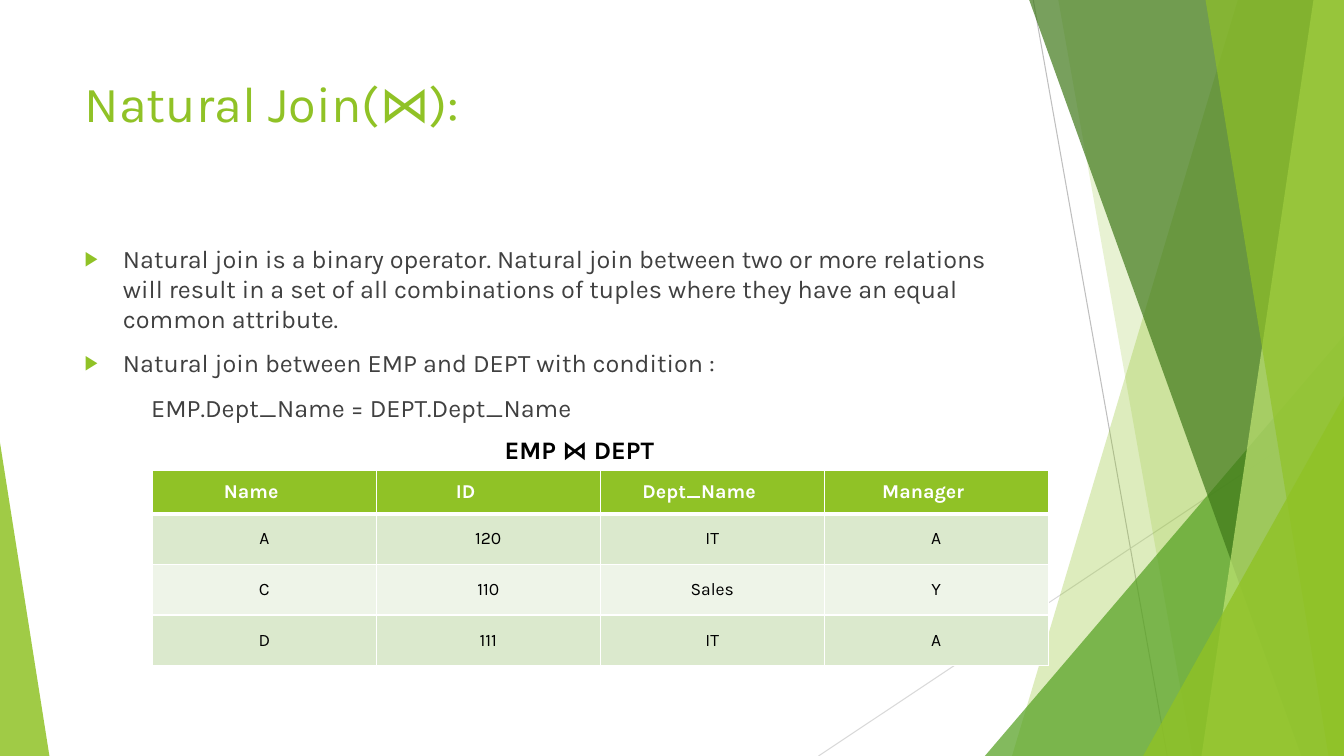
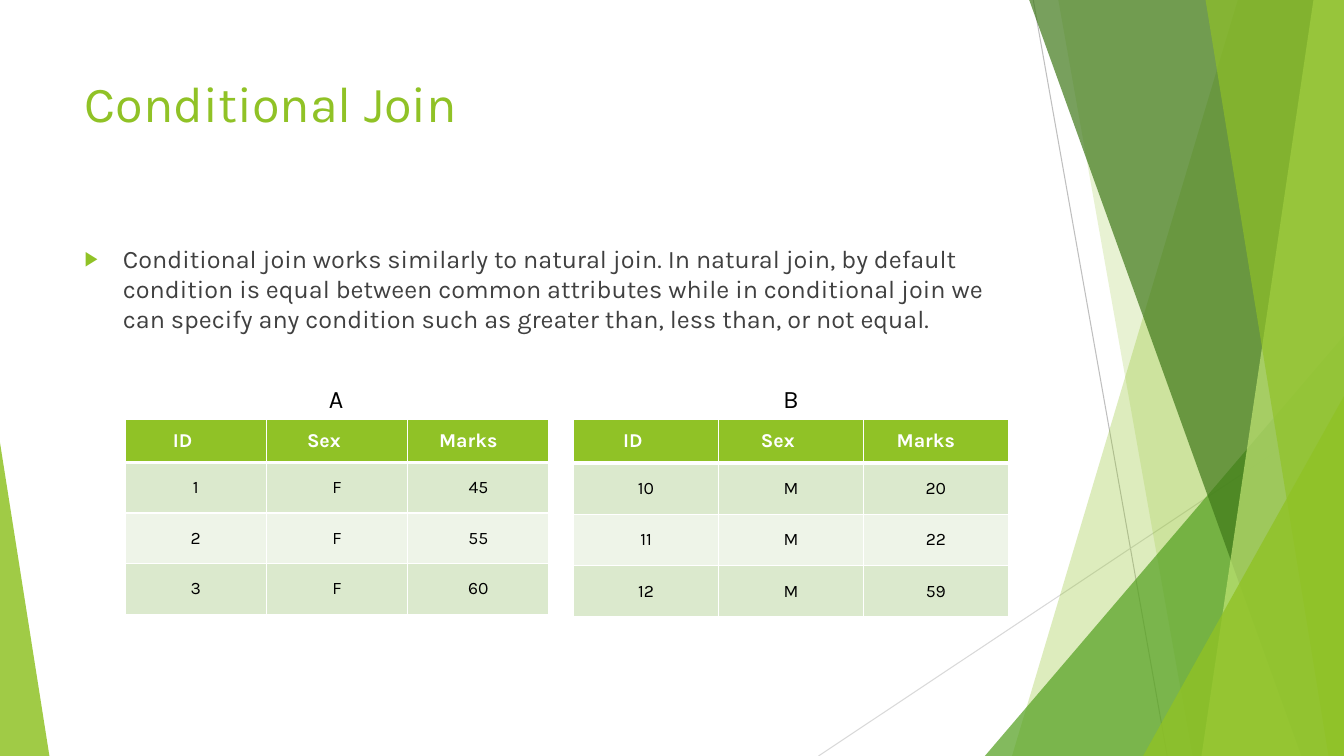
"""Build two slides about natural and conditional joins."""
from lxml.etree import SubElement
from pptx import Presentation
from pptx.dml.color import RGBColor
from pptx.enum.shapes import MSO_CONNECTOR, MSO_SHAPE
from pptx.enum.text import MSO_ANCHOR, MSO_AUTO_SIZE, PP_ALIGN
from pptx.oxml.ns import qn
from pptx.util import Inches, Pt

STRAIGHT = MSO_CONNECTOR.STRAIGHT
TRIANGLE = MSO_SHAPE.ISOSCELES_TRIANGLE
TOP, MIDDLE = MSO_ANCHOR.TOP, MSO_ANCHOR.MIDDLE
LEFT, CENTER = PP_ALIGN.LEFT, PP_ALIGN.CENTER
NO_FIT = MSO_AUTO_SIZE.NONE


class Theme:
    font = "Karla"
    title_size, body_size, head_size, cell_size = 36, 18, 14, 12.5
    lime, green, forest, pale = "90C226", "54A021", "3F7819", "C0E474"
    text, black, white = "404040", "000000", "FFFFFF"
    rows = ("DBE9CD", "EEF4E8")
    lines = ("BFBFBF", "D9D9D9")


W, H = Inches(13.333), Inches(7.5)


def box(*shares):
    """Turn alternating percentages of slide width and height into lengths."""
    return [round(s * (W, H)[i % 2] / 100) for i, s in enumerate(shares)]


def style(p, size, colour, bold=False, align=LEFT):
    """Format a paragraph and its runs."""
    p.alignment = align
    for r in p.runs:
        r.font.name, r.font.size, r.font.bold = Theme.font, Pt(size), bold
        r.font.color.rgb = RGBColor.from_string(colour)


RAYS = [(76.88, 0, 86.85, 100), (100, 53.73, 60.9, 100)]
FACETS = [
    ("band", (92.1, 75.3), Theme.lime, 30),
    ("band", (78.75, 88.73), Theme.lime, 20),
    ("corner", (73.28, 44.4, 26.72, 1), Theme.green, 72),
    ("band", (76.58, 96.83), Theme.forest, 70),
    ("band", (97.73, 89.4), Theme.pale, 70),
    ("band", (89.7, 98.85), Theme.lime, 65),
    ("corner", (85.05, 52.4, 14.95, 1), Theme.lime, 80),
    ("corner", (0, 58.53, 3.68, 0), Theme.lime, 85),
]
DECK = [
    {
        "title": "Natural Join(⋈):",
        "body": [
            ("Natural join is a binary operator. Natural join between two or more "
             "relations will result in a set of all combinations of tuples where "
             "they have an equal common attribute.", True),
            ("Natural join between EMP and DEPT with condition :", True),
            ("EMP.Dept_Name = DEPT.Dept_Name", False),
        ],
        "tables": [
            {"at": (11.33, 62.27), "width": 66.67, "caption": "EMP ⋈ DEPT",
             "centre": 43.1, "bold": True, "pads": (0.36, 0.55, 0.36, 0.36),
             "rows": [("Name", "ID", "Dept_Name", "Manager"), ("A", "120", "IT", "A"),
                      ("C", "110", "Sales", "Y"), ("D", "111", "IT", "A")]},
        ],
    },
    {
        "title": "Conditional Join",
        "body": [
            ("Conditional join works similarly to natural join. In natural join, by "
             "default condition is equal between common attributes while in "
             "conditional join we can specify any condition such as greater than, "
             "less than, or not equal.", True),
        ],
        "tables": [
            {"at": (9.3, 55.47), "width": 31.55, "caption": "A",
             "centre": 25, "bold": False, "pads": (0.36, 0.36, 0.3),
             "rows": [("ID", "Sex", "Marks"), ("1", "F", "45"),
                      ("2", "F", "55"), ("3", "F", "60")]},
            {"at": (42.68, 55.47), "width": 32.35, "caption": "B",
             "centre": 58.85, "bold": False, "pads": (0.36, 0.36, 0.3),
             "rows": [("ID", "Sex", "Marks"), ("10", "M", "20"),
                      ("11", "M", "22"), ("12", "M", "59")]},
        ],
    },
]

prs = Presentation()
prs.slide_width, prs.slide_height = W, H
layout = prs.slide_layouts[1]
for ph, area in zip(layout.placeholders, [(5.55, 8.93, 70.5, 19.2),
                                          (5.55, 31.47, 70.5, 56.53)]):
    ph.left, ph.top, ph.width, ph.height = box(*area)
    ph.text_frame.vertical_anchor = TOP
    ph.text_frame.auto_size = NO_FIT

slides = [prs.slides.add_slide(layout) for _ in DECK]
shapes = slides[0].shapes
decor = []
for ray, colour in zip(RAYS, Theme.lines):
    cx = shapes.add_connector(STRAIGHT, *box(*ray))
    cx.line.color.rgb = RGBColor.from_string(colour)
    cx.line.width = Pt(0.75)
    SubElement(cx.element.spPr, qn("a:effectLst"))
    decor.append(cx)

for kind, geometry, colour, opacity in FACETS:
    if kind == "band":
        upper, lower = geometry
        fb = shapes.build_freeform(*box(upper, 0))
        fb.add_line_segments([box(100, 0), box(100, 100), box(lower, 100)], close=True)
        sp = fb.convert_to_shape()
    else:
        left, top, width, apex = geometry
        sp = shapes.add_shape(TRIANGLE, *box(left, top, width, 100 - top))
        sp.adjustments[0] = apex
    sp.shadow.inherit = False
    sp.line.fill.background()
    sp.fill.solid()
    sp.fill.fore_color.rgb = RGBColor.from_string(colour)
    clr = sp.element.xpath("./p:spPr/a:solidFill/a:srgbClr")[0]
    SubElement(clr, qn("a:alpha"), val=str(opacity * 1000))
    decor.append(sp)

for i, sp in enumerate(decor):
    sp.element.xpath(".//p:cNvPr")[0].set("id", str(20 + i))
    layout.shapes.element.insert(2 + i, sp.element)

for s, content in zip(slides, DECK):
    s.shapes.title.text_frame.text = content["title"]
    style(s.shapes.title.text_frame.paragraphs[0], Theme.title_size, Theme.lime)

    tf = s.placeholders[1].text_frame
    for i, (text, bulleted) in enumerate(content["body"]):
        p = tf.add_paragraph() if i else tf.paragraphs[0]
        p.text = text
        p.space_before = Pt(10)
        style(p, Theme.body_size, Theme.text)
        pPr = p._p.get_or_add_pPr()
        pPr.set("marL", str(Inches(0.38 if bulleted else 0.66)))
        pPr.set("indent", str(Inches(-0.38 if bulleted else 0)))
        if bulleted:
            SubElement(SubElement(pPr, qn("a:buClr")), qn("a:srgbClr"), val=Theme.lime)
            SubElement(pPr, qn("a:buSzPct"), val="80000")
            SubElement(pPr, qn("a:buChar"), char="▶")
        else:
            SubElement(pPr, qn("a:buNone"))

    for spec_table in content["tables"]:
        left, top = spec_table["at"]
        rows = spec_table["rows"]
        frame = s.shapes.add_table(len(rows), len(rows[0]),
                                   *box(left, top, spec_table["width"], 25.6))
        tbl = frame.table
        for i, row in enumerate(rows):
            head = i == 0
            tbl.rows[i].height = Inches(0.42 if head else 0.5)
            for j, text in enumerate(row):
                cell = tbl.cell(i, j)
                cell.text_frame.text = text
                cell.vertical_anchor = MIDDLE
                cell.margin_left = Inches(0.1)
                cell.margin_right = Inches(spec_table["pads"][j] if head else 0.1)
                cell.margin_top = cell.margin_bottom = Inches(0.1 if head else 0.15)
                style(cell.text_frame.paragraphs[0],
                      Theme.head_size if head else Theme.cell_size,
                      Theme.white if head else Theme.black, head, CENTER)
                tcPr = cell._tc.get_or_add_tcPr()
                for side in ("lnL", "lnR", "lnT", "lnB"):
                    thick = (side, i) in (("lnB", 0), ("lnT", 1))
                    ln = SubElement(tcPr, qn("a:" + side), w=str(Pt(3 if thick else 1)))
                    fill = SubElement(ln, qn("a:solidFill"))
                    SubElement(fill, qn("a:srgbClr"), val=Theme.white)
                cell.fill.solid()
                cell.fill.fore_color.rgb = RGBColor.from_string(
                    Theme.lime if head else Theme.rows[(i - 1) % 2])

        tb = s.shapes.add_textbox(*box(spec_table["centre"] - 8, top - 5.45, 16, 5.33))
        tb.text_frame.word_wrap = True
        tb.text_frame.text = spec_table["caption"]
        style(tb.text_frame.paragraphs[0], Theme.body_size, Theme.black,
              spec_table["bold"], CENTER)

prs.save("out.pptx")
